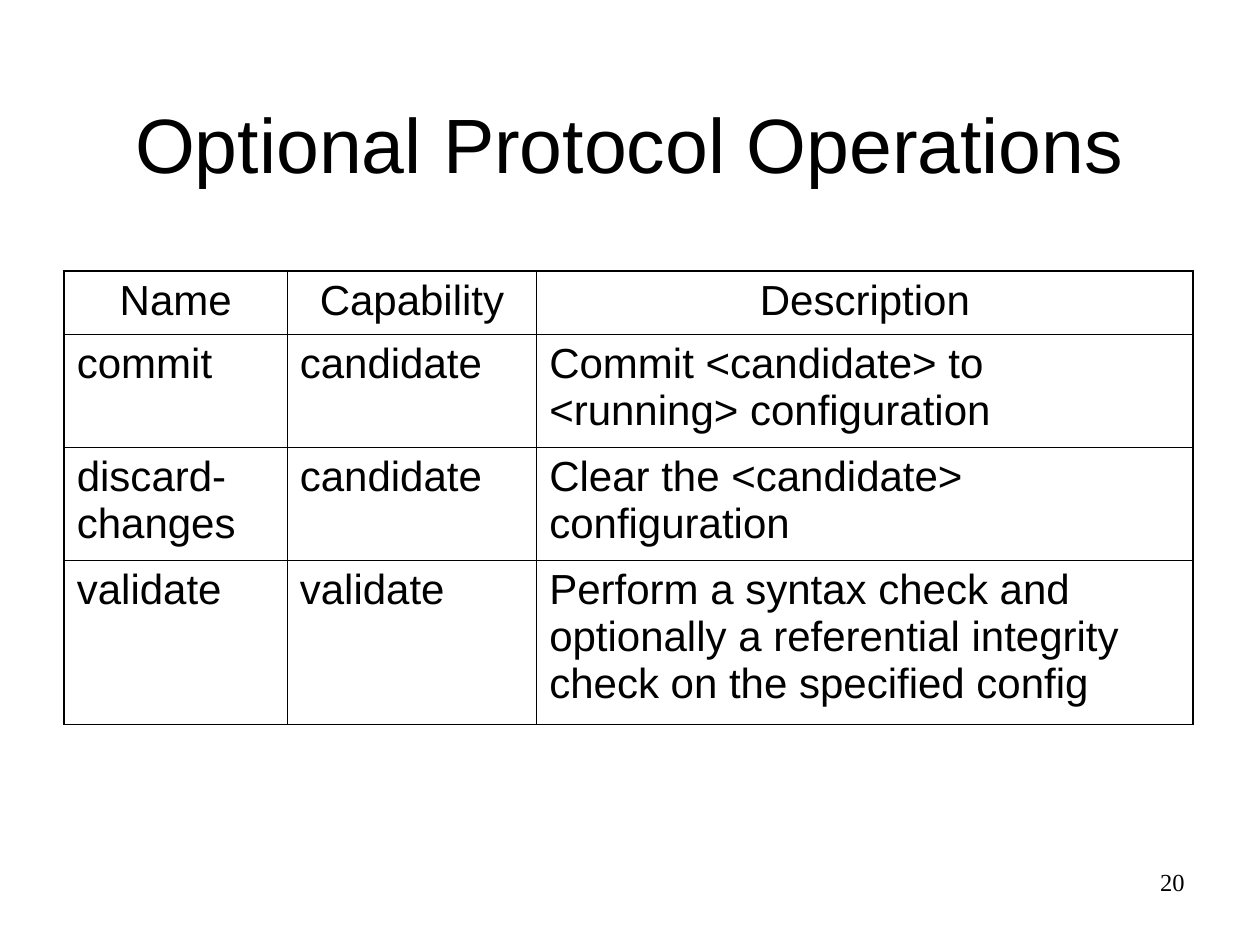
from dataclasses import dataclass

from lxml.etree import SubElement
from pptx import Presentation
from pptx.dml.color import RGBColor
from pptx.enum.text import MSO_ANCHOR, MSO_AUTO_SIZE, PP_ALIGN
from pptx.oxml.ns import qn
from pptx.util import Inches, Pt


@dataclass(frozen=True)
class Theme:
    ink: str = "000000"
    paper: str = "FFFFFF"
    body_font: str = "Arial"
    number_font: str = "Times New Roman"
    title_size: float = 44
    table_size: float = 24
    number_size: float = 14
    inner_line: float = 0.45
    outer_line: float = 1.08
    cell_gap: float = 6


class SlideBuilder:
    def __init__(self, slide, theme):
        self.slide = slide
        self.theme = theme
        slide.background.fill.solid()
        slide.background.fill.fore_color.rgb = RGBColor.from_string(theme.paper)

    def add_text(self, paragraph, text, size, font, align):
        paragraph.alignment = align
        run = paragraph.add_run()
        run.text = text
        run.font.size = Pt(size)
        run.font.name = font
        run.font.color.rgb = RGBColor.from_string(self.theme.ink)

    def title(self, text, left, top, width, height):
        heading = self.slide.shapes.title
        heading.left, heading.top = Inches(left), Inches(top)
        heading.width, heading.height = Inches(width), Inches(height)
        frame = heading.text_frame
        frame.word_wrap = True
        frame.auto_size = MSO_AUTO_SIZE.NONE
        frame.vertical_anchor = MSO_ANCHOR.BOTTOM
        self.add_text(frame.paragraphs[0], text, self.theme.title_size,
                      self.theme.body_font, PP_ALIGN.CENTER)

    def border(self, cell, side, width):
        line = SubElement(cell._tc.get_or_add_tcPr(), qn(f"a:ln{side}"),
                          w=str(Pt(width)))
        fill = SubElement(line, qn("a:solidFill"))
        SubElement(fill, qn("a:srgbClr"), val=self.theme.ink)

    def table(self, rows, left, top, widths, heights):
        operations = self.slide.shapes.add_table(
            len(heights), len(widths), Inches(left), Inches(top),
            Inches(sum(widths)), Inches(sum(heights))).table
        operations.first_row = False
        operations.horz_banding = False
        for column, width in zip(operations.columns, widths):
            column.width = Inches(width)
        last_row, last_column = len(heights) - 1, len(widths) - 1
        for r, (labels, height) in enumerate(zip(rows, heights)):
            operations.rows[r].height = Inches(height)
            align = PP_ALIGN.CENTER if r == 0 else PP_ALIGN.LEFT
            for c, label in enumerate(labels):
                cell = operations.cell(r, c)
                outer_sides = {"L": c == 0, "R": c == last_column,
                               "T": r == 0, "B": r == last_row}
                for side, outer in outer_sides.items():
                    self.border(cell, side, self.theme.outer_line if outer
                                else self.theme.inner_line)
                cell.fill.background()
                paragraph = cell.text_frame.paragraphs[0]
                paragraph.space_before = Pt(self.theme.cell_gap)
                self.add_text(paragraph, label, self.theme.table_size,
                              self.theme.body_font, align)

    def page_number(self, text, left, top, width, height):
        number = self.slide.shapes.add_textbox(
            Inches(left), Inches(top), Inches(width), Inches(height))
        number.text_frame.word_wrap = True
        self.add_text(number.text_frame.paragraphs[0], text,
                      self.theme.number_size, self.theme.number_font,
                      PP_ALIGN.RIGHT)


def main():
    deck = Presentation()
    deck.slide_width, deck.slide_height = Inches(10), Inches(7.5)
    builder = SlideBuilder(deck.slides.add_slide(deck.slide_layouts[5]), Theme())
    builder.title("Optional Protocol Operations", 0.5, 0.3, 9, 1.25)
    builder.table(
        [
            ("Name", "Capability", "Description"),
            ("commit", "candidate",
             "Commit <candidate> to <running> configuration"),
            ("discard-changes", "candidate",
             "Clear the <candidate> configuration"),
            ("validate", "validate",
             "Perform a syntax check and optionally a referential integrity "
             "check on the specified config"),
        ],
        0.51, 2.15, (1.77, 1.98, 5.21), (0.5, 0.9, 0.9, 1.3))
    builder.page_number("20", 7.17, 6.83, 2.33, 0.52)
    deck.save("out.pptx")


if __name__ == "__main__":
    main()
